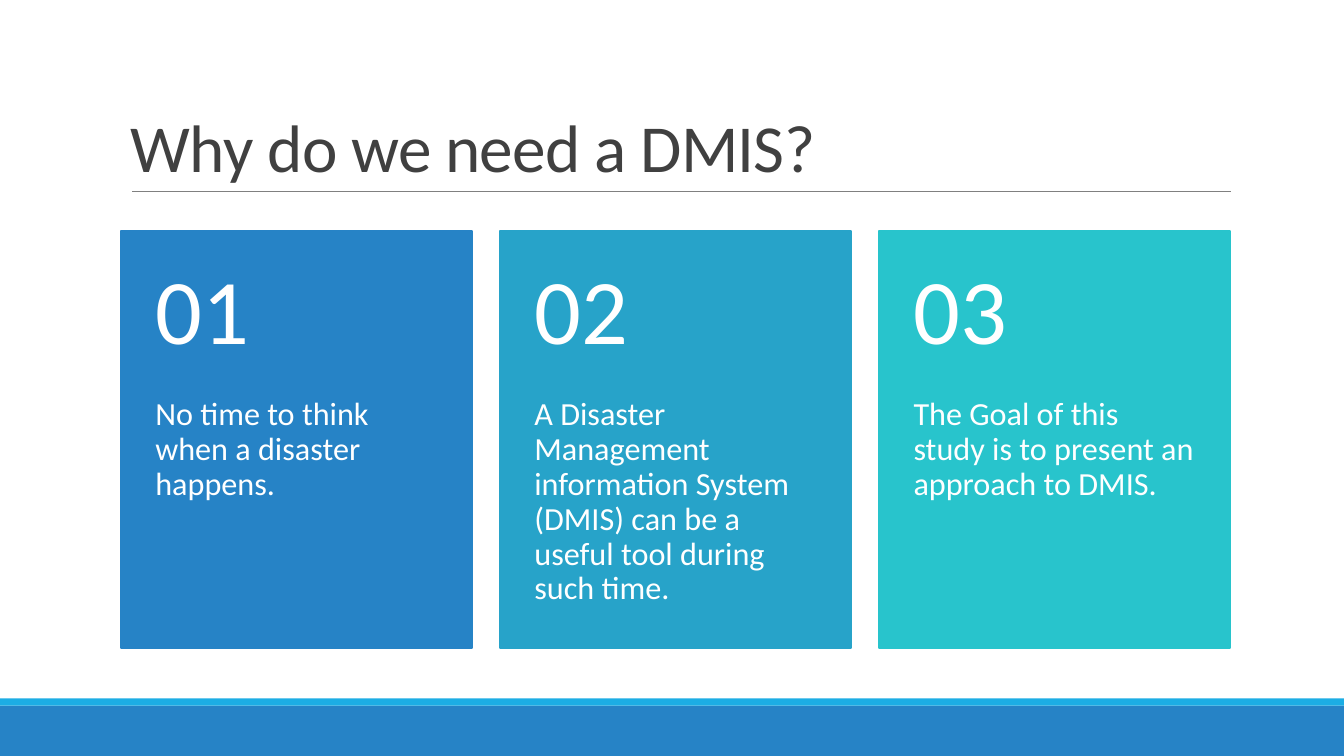
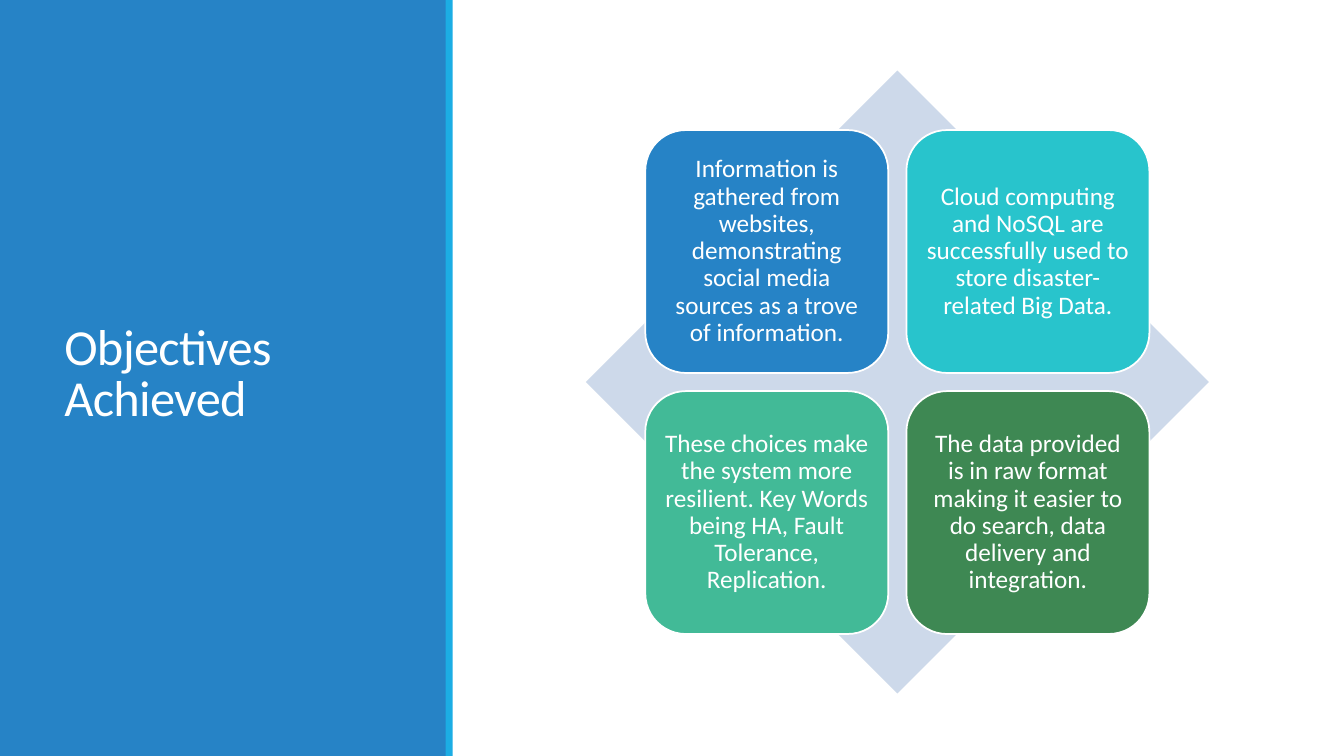
from dataclasses import dataclass
from pptx import Presentation
from pptx.dml.color import RGBColor
from pptx.enum.shapes import MSO_CONNECTOR, MSO_SHAPE as SHAPE
from pptx.enum.text import MSO_ANCHOR as ANCHOR, PP_ALIGN as ALIGN
from pptx.oxml.ns import qn
from pptx.util import Inches, Pt
from lxml.etree import SubElement


@dataclass(frozen=True)
class Theme:
    font: str = "Calibri"
    white: str = "FFFFFF"
    ink: str = "404040"
    rule: str = "808080"
    blue: str = "2683C6"
    sky: str = "1CADE4"
    ocean: str = "27A3C9"
    teal: str = "28C4CC"
    mint: str = "42BA97"
    green: str = "3E8853"
    pale: str = "CDD9EA"
    title: int = 48
    side_title: int = 36
    number: int = 66
    card: int = 23
    tile: int = 18


T = Theme()
rgb = RGBColor.from_string


def add_box(s, kind, x, y, w, h, fill, line=None):
    sp = s.shapes.add_shape(kind, Inches(x), Inches(y), Inches(w), Inches(h))
    sp.shadow.inherit = False
    sp.fill.solid()
    sp.fill.fore_color.rgb = rgb(fill)
    if line:
        sp.line.color.rgb = rgb(line)
        sp.line.width = Pt(1.25)
    else:
        sp.line.fill.background()
    return sp


def write(sp, text, size, color=T.white, anchor=ANCHOR.MIDDLE, align=ALIGN.LEFT,
          insets=(0.1, 0.05, 0.1, 0.05), spacing=0.9, tracking=0):
    tf = sp.text_frame
    tf.word_wrap = True
    tf.vertical_anchor = anchor
    tf.margin_left, tf.margin_top, tf.margin_right, tf.margin_bottom = map(Inches, insets)
    p = tf.paragraphs[0]
    p.alignment = align
    p.line_spacing = spacing
    r = p.add_run()
    r.text = text
    r.font.name = T.font
    r.font.size = Pt(size)
    r.font.color.rgb = rgb(color)
    if tracking:
        r.font._element.set("spc", str(tracking))


prs = Presentation()
prs.slide_width, prs.slide_height = Inches(13.33), Inches(7.5)
blank = prs.slide_layouts[6]
title_style = dict(spacing=0.85, tracking=-50)

# Slide 1: footer bands, title and rule
s = prs.slides.add_slide(blank)
add_box(s, SHAPE.RECTANGLE, 0, 7, 13.33, 0.5, T.blue)
add_box(s, SHAPE.RECTANGLE, 0, 6.93, 13.33, 0.07, T.sky)
rule = s.shapes.add_connector(MSO_CONNECTOR.STRAIGHT, Inches(1.31), Inches(1.9),
                              Inches(12.21), Inches(1.9))
rule.line.color.rgb = rgb(T.rule)
rule.line.width = Pt(0.5)
SubElement(rule._element.spPr, qn("a:effectLst"))
title = s.shapes.add_textbox(Inches(1.2), Inches(0.31), Inches(11), Inches(1.59))
write(title, "Why do we need a DMIS?", T.title, T.ink, ANCHOR.BOTTOM, **title_style)

# Numbered cards
cards = [
    (T.blue, "No time to think when a disaster happens."),
    (T.ocean, "A Disaster Management information System (DMIS) can be a useful tool "
              "during such time."),
    (T.teal, "The Goal of this study is to present an approach to DMIS."),
]
card_w, card_gap, card_top, number_h, body_h = 3.48, 0.28, 2.29, 1.66, 2.48
for i, (color, text) in enumerate(cards):
    x = 1.2 + i * (card_w + card_gap)
    add_box(s, SHAPE.RECTANGLE, x, card_top, card_w, number_h + body_h, color, color)
    number = s.shapes.add_textbox(Inches(x), Inches(card_top), Inches(card_w), Inches(number_h))
    write(number, f"{i + 1:02}", T.number, insets=(0.34, 0.18, 0.34, 0.18))
    body = s.shapes.add_textbox(Inches(x), Inches(card_top + number_h),
                                Inches(card_w), Inches(body_h))
    write(body, text, T.card, anchor=ANCHOR.TOP, insets=(0.34, 0, 0.34, 0.36))

# Slide 2: side panel and title
s = prs.slides.add_slide(blank)
add_box(s, SHAPE.RECTANGLE, 0, 0, 4.43, 7.5, T.blue)
add_box(s, SHAPE.RECTANGLE, 4.42, 0, 0.07, 7.5, T.sky)
title = s.shapes.add_textbox(Inches(0.54), Inches(0.57), Inches(3.37), Inches(6.31))
write(title, "Objectives Achieved", T.side_title, **title_style)

# Diamond with a two-by-two grid of tiles
add_box(s, SHAPE.DIAMOND, 5.81, 0.7, 6.18, 6.18, T.pale)
tiles = [
    (T.blue, "Information is gathered from websites, demonstrating social media sources "
             "as a trove of information."),
    (T.teal, "Cloud computing and NoSQL are successfully used to store disaster-related "
             "Big Data."),
    (T.mint, "These choices make the system more resilient. Key Words being HA, "
             "Fault Tolerance, Replication."),
    (T.green, "The data provided is in raw format making it easier to do search, "
              "data delivery and integration."),
]
tile, pitch = 2.41, 2.59
for i, (color, text) in enumerate(tiles):
    row, col = divmod(i, 2)
    sp = add_box(s, SHAPE.ROUNDED_RECTANGLE, 6.4 + col * pitch, 1.29 + row * pitch,
                 tile, tile, color, T.white)
    write(sp, text, T.tile, align=ALIGN.CENTER, insets=(0.07,) * 4)

prs.save("out.pptx")
